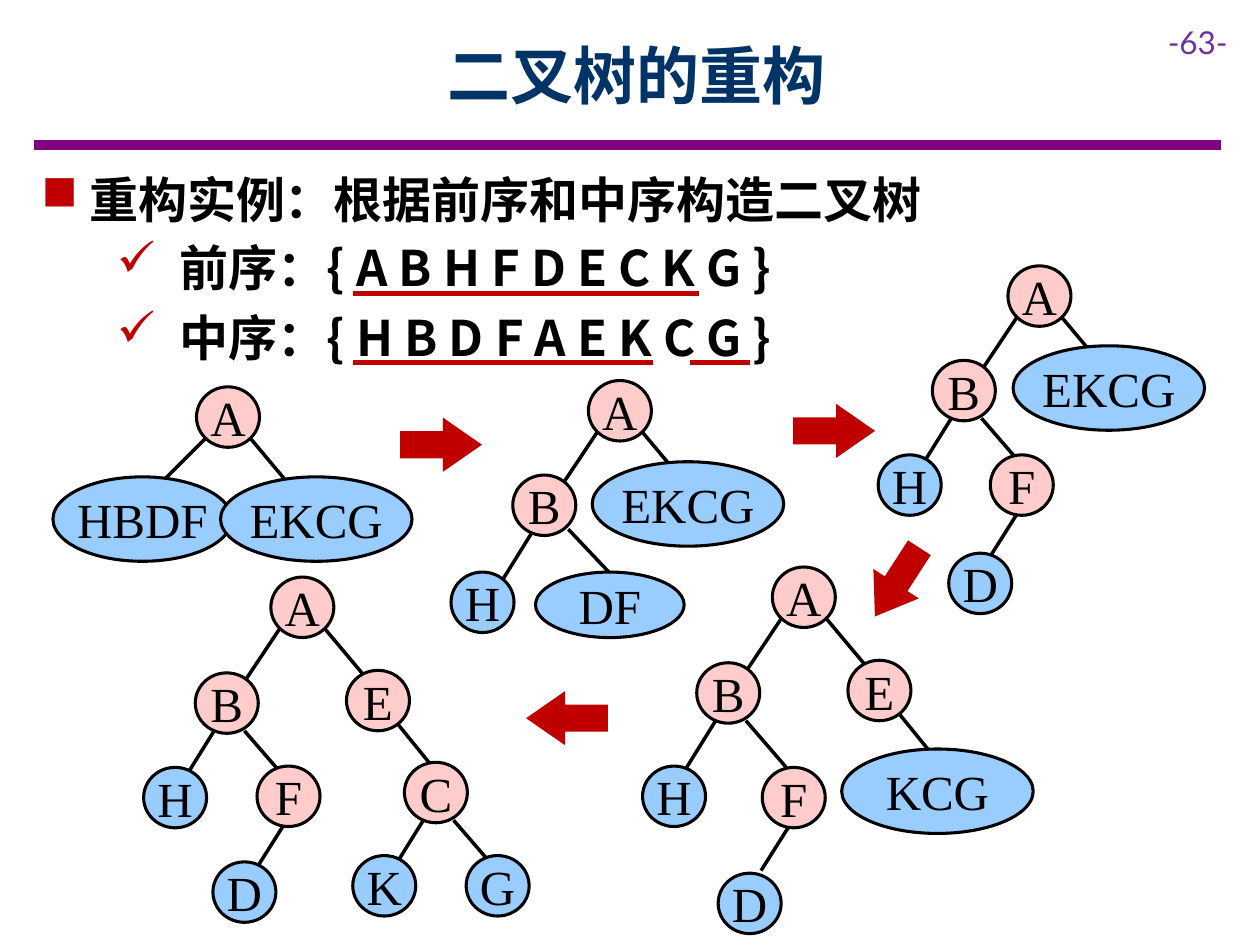
"""Build a slide that rebuilds a binary tree from its pre-order and in-order sequences."""
from lxml.etree import SubElement
from pptx import Presentation
from pptx.dml.color import RGBColor
from pptx.enum.shapes import MSO_CONNECTOR, MSO_SHAPE
from pptx.enum.text import MSO_ANCHOR, PP_ALIGN
from pptx.oxml.ns import qn
from pptx.util import Inches, Pt

SLIDE_WIDTH, SLIDE_HEIGHT = Inches(10), Inches(7.5)
COLUMNS = 10
CELL = SLIDE_WIDTH / COLUMNS
COLORS = {"navy": "003366", "purple": "800080", "violet": "7030A0", "red": "C00000",
          "black": "000000", "solved": "FFCCCC", "leaf": "99CCFF"}
CHINESE, LATIN, SERIF = "Noto Sans CJK SC", "Lato", "Times New Roman"
NODE_SIZE = (0.5, 0.48)
SUBTREE_SIZE = (1.52, 0.67)
SUBTREE_SIZES = {"DF": (1.18, 0.52), "HBDF": (1.42, 0.67)}
ARROW_SIZE = (0.65, 0.43)
MARK_LENGTH = 0.47
MARKS = {2.33: [2.8 + 0.38 * step for step in range(7)],
         2.88: [2.8, 3.21, 3.62, 3.92, 4.37, 4.71, 5.48]}
ARROWS = [(3.5, 3.53, 0), (6.62, 3.42, 0), (7.12, 4.62, 122.9), (4.5, 5.7, 180)]

# Start and end of each kind of branch, measured from the parent's centre.
BRANCHES = {
    "far left": (-0.18, 0.17, -0.54, 0.53),
    "left": (-0.18, 0.17, -0.48, 0.62),
    "right": (0.17, 0.16, 0.48, 0.53),
    "near left": (-0.10, 0.22, -0.33, 0.59),
    "near right": (0.14, 0.22, 0.46, 0.59),
    "far right": (0.19, 0.19, 0.54, 0.56),
    "steep left": (-0.02, 0.20, -0.26, 0.58),
    "short right": (0.16, 0.19, 0.42, 0.51),
}
BOTH, NEAR = ("left", "right"), ("near left", "near right")
TREES = [
    [("A", 1.81, 3.31, ("far left", "right")), ("HBDF", 1.13, 4.12, ()),
     ("EKCG", 2.51, 4.12, ())],
    [("A", 4.92, 3.26, BOTH), ("DF", 4.84, 4.8, ()), ("EKCG", 5.46, 4, ()),
     ("B", 4.32, 4.01, ("near left", "far right")), ("H", 3.83, 4.78, ())],
    [("A", 8.25, 2.35, BOTH), ("EKCG", 8.8, 3.08, ()), ("B", 7.65, 3.1, NEAR),
     ("H", 7.22, 3.85, ()), ("D", 7.78, 4.63, ()), ("F", 8.11, 3.85, ("steep left",))],
    [("A", 6.38, 4.74, BOTH), ("B", 5.78, 5.5, NEAR), ("H", 5.35, 6.32, ()),
     ("F", 6.3, 6.33, ("steep left",)), ("D", 5.95, 7.17, ()),
     ("E", 6.98, 5.48, ("short right",)), ("KCG", 7.44, 6.28, ())],
    [("A", 2.4, 4.82, BOTH), ("B", 1.8, 5.58, NEAR), ("H", 1.39, 6.33, ()),
     ("D", 1.94, 7.08, ()), ("E", 3, 5.56, ("short right",)),
     ("F", 2.29, 6.32, ("steep left",)), ("C", 3.46, 6.29, NEAR),
     ("K", 3.05, 7.03, ()), ("G", 3.95, 7.03, ())],
]


def grid(*cells):
    """Turn counts of grid cells into lengths."""
    return [round(cell * CELL) for cell in cells]


def color(name):
    """Look up a named colour."""
    return RGBColor.from_string(COLORS[name])


def add_run(paragraph, text, font_name, size, color_name, bold=False):
    """Add one formatted run, with the same font for Latin and East Asian text."""
    run = paragraph.add_run()
    run.text = text
    run.font.name, run.font.size, run.font.bold = font_name, Pt(size), bold
    run.font.color.rgb = color(color_name)
    SubElement(run.font._element, qn("a:ea"), typeface=font_name)


def add_line(shapes, start, end, color_name, width):
    """Draw a straight line without a shadow."""
    line = shapes.add_connector(MSO_CONNECTOR.STRAIGHT, *grid(*start, *end))
    line.line.color.rgb, line.line.width = color(color_name), Pt(width)
    SubElement(line._element.spPr, qn("a:effectLst"))


def add_centered_shape(shapes, kind, center, size, fill_name):
    """Draw a filled shape around a centre point."""
    (x, y), (width, height) = center, size
    shape = shapes.add_shape(kind, *grid(x - width / 2, y - height / 2, width, height))
    shape.shadow.inherit = False
    shape.fill.solid()
    shape.fill.fore_color.rgb = color(fill_name)
    return shape


def add_title(slide, text):
    """Place and fill the title."""
    title = slide.shapes.title
    title.left, title.top, title.width, title.height = grid(0.9, 0.09, 8.31, 1)
    title.text_frame.vertical_anchor = MSO_ANCHOR.MIDDLE
    paragraph = title.text_frame.paragraphs[0]
    paragraph.alignment = PP_ALIGN.CENTER
    add_run(paragraph, text, CHINESE, 36, "navy", True)


def add_page_number(slide, text):
    """Write the page number in the top corner."""
    frame = slide.shapes.add_textbox(*grid(9.17, 0.13, 0.83, 0.4)).text_frame
    frame.word_wrap = True
    add_run(frame.paragraphs[0], text, LATIN, 18, "violet")


def add_bullets(slide, box, bullet, indent, lines):
    """Write a bulleted list with a hanging indent."""
    frame = slide.shapes.add_textbox(*grid(*box)).text_frame
    frame.word_wrap = True
    frame.margin_top = Inches(0.07)
    for index, text in enumerate(lines):
        paragraph = frame.add_paragraph() if index else frame.paragraphs[0]
        properties = paragraph._p.get_or_add_pPr()
        hang = grid(indent)[0]
        properties.set("marL", str(hang))
        properties.set("indent", str(-hang))
        bullet_color = SubElement(properties, qn("a:buClr"))
        SubElement(bullet_color, qn("a:srgbClr"), val=COLORS["red"])
        SubElement(properties, qn("a:buChar"), char=bullet)
        paragraph.line_spacing, paragraph.space_after = Pt(33.5), Pt(6)
        add_run(paragraph, text, CHINESE, 28, "black", True)


def add_node(shapes, label, x, y, branches):
    """Draw a tree node: solved when it branches, otherwise a leaf or open subtree."""
    size = NODE_SIZE if len(label) == 1 else SUBTREE_SIZES.get(label, SUBTREE_SIZE)
    fill_name = "solved" if branches else "leaf"
    node = add_centered_shape(shapes, MSO_SHAPE.OVAL, (x, y), size, fill_name)
    node.line.color.rgb, node.line.width = color("black"), Pt(1.75)
    frame = node.text_frame
    frame.word_wrap, frame.vertical_anchor = False, MSO_ANCHOR.MIDDLE
    paragraph = frame.paragraphs[0]
    paragraph.alignment = PP_ALIGN.CENTER
    add_run(paragraph, label, SERIF, 28, "black")


def add_tree(slide, nodes):
    """Draw one tree as a group, with its branches behind its nodes."""
    shapes = slide.shapes.add_group_shape().shapes
    for _, x, y, branches in nodes:
        for branch in branches:
            start_x, start_y, end_x, end_y = BRANCHES[branch]
            add_line(shapes, (x + start_x, y + start_y), (x + end_x, y + end_y), "black", 2)
    for node in nodes:
        add_node(shapes, *node)


def add_arrow(slide, x, y, rotation):
    """Draw a block arrow that leads to the next step."""
    arrow = add_centered_shape(slide.shapes, MSO_SHAPE.RIGHT_ARROW, (x, y), ARROW_SIZE, "red")
    arrow.adjustments[1] = 0.72
    arrow.line.fill.background()
    arrow.rotation = rotation


def main():
    """Build and save the slide."""
    presentation = Presentation()
    presentation.slide_width, presentation.slide_height = SLIDE_WIDTH, SLIDE_HEIGHT
    slide = presentation.slides.add_slide(presentation.slide_layouts[5])
    add_line(slide.shapes, (0.27, 1.15), (9.69, 1.15), "purple", 6)
    add_page_number(slide, "-63-")
    add_title(slide, "二叉树的重构")
    add_bullets(slide, (0.23, 1.28, 9.29, 0.57), "■", 0.38,
                ["重构实例：根据前序和中序构造二叉树"])
    add_bullets(slide, (0.83, 1.82, 6.83, 1.13), "✓", 0.5,
                ["前序：{ A B H F D E C K G }", "中序：{ H B D F A E K C G }"])
    for y, starts in MARKS.items():
        for x in starts:
            add_line(slide.shapes, (x, y), (x + MARK_LENGTH, y), "red", 3)
    for nodes in TREES:
        add_tree(slide, nodes)
    for arrow in ARROWS:
        add_arrow(slide, *arrow)
    presentation.save("out.pptx")


if __name__ == "__main__":
    main()
